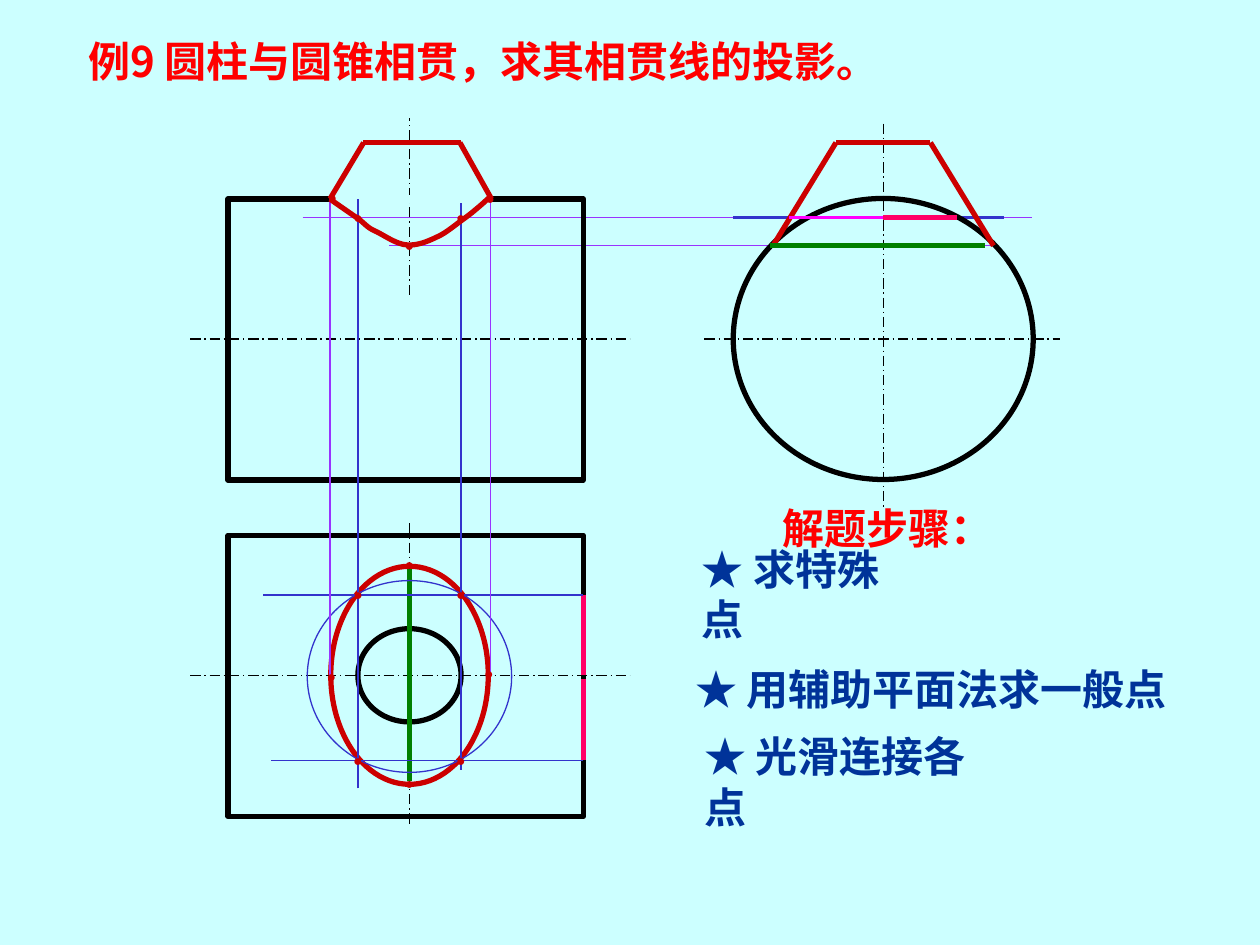
from dataclasses import dataclass

from lxml import etree
from pptx import Presentation
from pptx.dml.color import RGBColor
from pptx.enum.dml import MSO_LINE
from pptx.enum.shapes import MSO_CONNECTOR, MSO_SHAPE
from pptx.enum.text import MSO_ANCHOR, MSO_AUTO_SIZE, PP_ALIGN
from pptx.oxml.ns import qn
from pptx.util import Pt

STRAIGHT = MSO_CONNECTOR.STRAIGHT
OVAL, RECT = MSO_SHAPE.OVAL, MSO_SHAPE.RECTANGLE
CHAIN = MSO_LINE.LONG_DASH_DOT
TOP, MIDDLE = MSO_ANCHOR.TOP, MSO_ANCHOR.MIDDLE
LEFT, CENTER = PP_ALIGN.LEFT, PP_ALIGN.CENTER
NO_FIT = MSO_AUTO_SIZE.NONE
TITLE_ONLY = 5


@dataclass(frozen=True)
class Theme:
    back: str = "CCFFFF"
    outline: str = "000000"
    cone: str = "CC0000"
    ray: str = "9933FF"
    plane: str = "3333CC"
    special: str = "008000"
    chord: str = "FF00FF"
    width_mark: str = "FF0066"
    heading: str = "FF0000"
    step: str = "003399"
    text_font: str = "Noto Sans CJK SC"
    dot_font: str = "Times New Roman"
    text_size: int = 24
    dot_size: int = 9
    thin: float = 0.75
    medium: float = 1.5
    thick: float = 3


def apply(target, values):
    for name, value in values.items():
        setattr(target, name, value)


class Drawing:
    """Holds the theme and the slide being drawn; lengths are in points."""

    def __init__(self, slide, theme):
        self.s, self.theme = slide, theme
        fill = slide.background.fill
        fill.solid()
        fill.fore_color.rgb = RGBColor.from_string(theme.back)

    def stroke(self, shape, color, width, dash=None):
        shape.line.color.rgb = RGBColor.from_string(color)
        apply(shape.line, {"width": Pt(width), "dash_style": dash})

    def line(self, x1, y1, x2, y2, color, width, dash=None):
        c = self.s.shapes.add_connector(STRAIGHT, Pt(x1), Pt(y1), Pt(x2), Pt(y2))
        self.stroke(c, color, width, dash)
        etree.SubElement(c._element.spPr, qn("a:effectLst"))

    def axis(self, x1, y1, x2, y2):
        self.line(x1, y1, x2, y2, self.theme.outline, self.theme.thin, CHAIN)

    def outline(self, kind, cx, cy, w, h, color, width):
        sp = self.s.shapes.add_shape(kind, Pt(cx - w / 2), Pt(cy - h / 2), Pt(w), Pt(h))
        sp.shadow.inherit = False
        sp.fill.background()
        self.stroke(sp, color, width)

    def curve(self, start, segments, color, width, steps=8):
        """Draws joined cubic Bezier segments."""
        points, p0 = [], start
        for p1, p2, p3 in segments:
            for i in range(1, steps + 1):
                t = i / steps
                u = 1 - t
                points.append(tuple(
                    Pt(u**3 * a + 3 * u * u * t * b + 3 * u * t * t * c + t**3 * d)
                    for a, b, c, d in zip(p0, p1, p2, p3)))
            p0 = p3
        builder = self.s.shapes.build_freeform(Pt(start[0]), Pt(start[1]))
        builder.add_line_segments(points, close=False)
        sp = builder.convert_to_shape()
        sp.shadow.inherit = False
        sp.fill.background()
        self.stroke(sp, color, width)

    def set_text(self, sp, text, color, size, font, bold=True,
                 align=LEFT, anchor=MIDDLE, wrap=False):
        tf = sp.text_frame
        apply(tf, {"word_wrap": wrap, "auto_size": NO_FIT, "vertical_anchor": anchor,
                   "margin_left": Pt(7.2), "margin_right": Pt(7.2),
                   "margin_top": Pt(3.6), "margin_bottom": Pt(3.6)})
        p = tf.paragraphs[0]
        apply(p, {"alignment": align, "space_before": Pt(0)})
        r = p.add_run()
        r.text = text
        apply(r.font, {"name": font, "size": Pt(size), "bold": bold})
        r.font.color.rgb = RGBColor.from_string(color)
        etree.SubElement(r._r.get_or_add_rPr(), qn("a:ea"), typeface=font)

    def title(self, text, x, y, w, h):
        sp = self.s.shapes.title
        apply(sp, {"left": Pt(x), "top": Pt(y), "width": Pt(w), "height": Pt(h)})
        t = self.theme
        self.set_text(sp, text, t.heading, t.text_size, t.text_font, anchor=TOP)

    def label(self, text, x, y, w, color, **layout):
        sp = self.s.shapes.add_textbox(Pt(x), Pt(y), Pt(w), Pt(36))
        self.set_text(sp, text, color, self.theme.text_size, self.theme.text_font, **layout)

    def dot(self, cx, cy, w):
        sp = self.s.shapes.add_textbox(Pt(cx - w / 2), Pt(cy - 9), Pt(w), Pt(18))
        t = self.theme
        self.set_text(sp, "●", t.cone, t.dot_size, t.dot_font, bold=False, align=CENTER)


def main():
    prs = Presentation()
    prs.slide_width, prs.slide_height = Pt(720), Pt(540)
    t = Theme()
    d = Drawing(prs.slides.add_slide(prs.slide_layouts[TITLE_ONLY]), t)
    d.title("例9 圆柱与圆锥相贯，求其相贯线的投影。", 43.2, 16.5, 483, 36)

    # Shared axes and levels of the three views
    front_x, side_x = 234, 504.7
    front_y, plan_y = 193.7, 385.9
    body_x, body_w, body_h = 231.8, 203, 160.6
    body_right = body_x + body_w / 2
    cone_top, body_top, aux_y, low_y = 81.5, 113.6, 124.4, 140.4
    left_x, right_x = 188.6, 280.1
    near_x, far_x = 204.6, 263.4
    back_y, fore_y = 340, 434.7

    # Projection rays at the lowest and the general points
    d.line(568, low_y, 222.5, low_y, t.ray, t.thin)
    d.line(173, aux_y, 590, aux_y, t.ray, t.thin)
    d.line(419, aux_y, 574, aux_y, t.plane, t.medium)

    # Cylinder, cone openings and centre lines
    d.outline(OVAL, front_x, plan_y, 90, 124.6, t.cone, t.thick)
    d.axis(402.5, front_y, 606, front_y)
    d.axis(side_x, 70.6, side_x, 290)
    d.outline(OVAL, side_x, front_y, 171.4, body_h, t.outline, t.thick)
    for y in (front_y, plan_y):
        d.axis(108.7, y, 360, y)
        d.outline(RECT, body_x, y + 0.3, body_w, body_h, t.outline, t.thick)
    d.axis(front_x, 299, front_x, 472)
    d.axis(front_x, 168.5, front_x, 67.7)
    d.outline(OVAL, front_x, plan_y, 59, 53.3, t.outline, t.thick)

    # Cone contours in the side and front views
    for sign in (1, -1):
        d.line(side_x + sign * 27, cone_top, side_x + sign * 63, low_y, t.cone, t.thick)
    d.line(side_x - 27, cone_top, side_x + 27, cone_top, t.cone, t.thick)
    d.line(207.4, cone_top, 263.5, cone_top, t.cone, t.thick)
    d.line(left_x, body_top, right_x, body_top, t.back, 4.5)
    d.line(207.8, cone_top, left_x, body_top, t.cone, t.thick)
    d.line(262.8, cone_top, 280.8, body_top, t.cone, t.thick)

    # Special points: green widths in the side view and the plan
    d.line(440, low_y, 563, low_y, t.special, t.thick)
    d.line(front_x, 446.4, front_x, 325.4, t.special, t.thick)

    # Auxiliary plane: chord, circle and transferred widths
    d.line(451, aux_y, side_x, aux_y, t.chord, 2)
    d.outline(OVAL, front_x, 386.6, 116.8, 109.6, t.plane, t.thin)
    d.line(side_x, aux_y, 547, aux_y, t.width_mark, t.thick)
    d.line(body_right, plan_y, body_right, back_y, t.width_mark, t.thick)
    d.line(body_right, back_y, 150.5, back_y, t.plane, t.thin)
    d.line(body_right, fore_y, 155, fore_y, t.plane, t.thin)
    d.line(far_x, 440, far_x, 116, t.plane, t.thin)
    d.line(near_x, 450.5, near_x, body_top, t.plane, t.thin)
    d.line(body_right, 434.2, body_right, 388.2, t.width_mark, t.thick)
    for x in (right_x, left_x):
        d.line(x, body_top, x, plan_y, t.ray, t.thin)

    # Points as (centre x, centre y, box width)
    for point in (
            (front_x, 140, 26.6), (near_x, 124.2, 32.4), (far_x, 124.2, 21.6),
            (front_x, 447.5, 15.8), (front_x, 322.2, 26.6),
            (far_x, 434.5, 21.6), (near_x, 434.5, 21.6),
            (far_x, 339.5, 32.4), (near_x, 339.5, 32.4),
            (right_x, 113.2, 26.6), (190, 112.7, 29.5),
            (189.4, 386.3, 30.2), (279.4, 384.8, 30.2)):
        d.dot(*point)

    # Solution steps
    d.label("解题步骤：", 440, 283.7, 134, t.heading, align=CENTER)
    for text, x, y, w in (("★ 求特殊点", 393.8, 321.1, 138.2),
                          ("★ 用辅助平面法求一般点", 390.2, 375.8, 308.2),
                          ("★ 光滑连接各点", 395.3, 428.4, 185.8)):
        d.label(text, x, y, w, t.step, wrap=True)

    # Intersection curve in the front view
    d.curve((left_x, 113.8), (
        ((191.5, 115.9), (200.9, 122.4), (205.2, 125.3)),
        ((209.5, 128.9), (210.2, 130.3), (215.3, 132.5)),
        ((219.6, 134.6), (226.8, 139.7), (232.6, 140)),
        ((238.3, 140.4), (244.1, 138.2), (249.8, 135.4)),
        ((254.9, 133.2), (260.6, 128.2), (265.7, 124.6)),
        ((270.7, 121), (277.2, 115.2), (280.8, 111.8))), t.cone, t.thick)

    prs.save("out.pptx")


if __name__ == "__main__":
    main()
